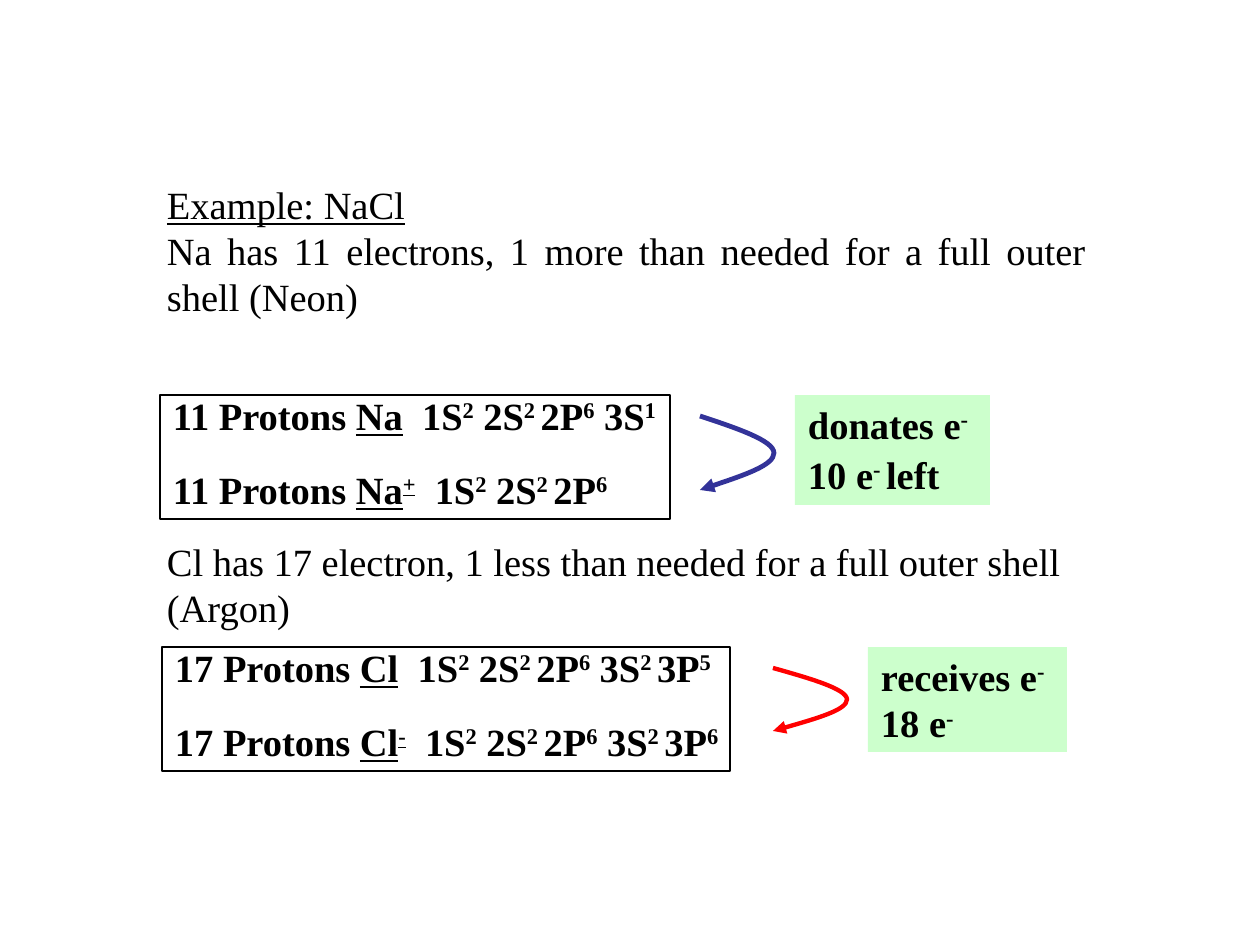
from lxml import etree
from pptx import Presentation
from pptx.dml.color import RGBColor
from pptx.enum.shapes import MSO_SHAPE
from pptx.enum.text import MSO_ANCHOR, PP_ALIGN
from pptx.oxml.ns import qn
from pptx.util import Pt

PX = 914400 / 126
RECT = MSO_SHAPE.RECTANGLE
TOP = MSO_ANCHOR.TOP
LEFT, JUSTIFY = PP_ALIGN.LEFT, PP_ALIGN.JUSTIFY
FONT, SIZE, BLACK, GREEN = "Times New Roman", 22, "000000", "CCFFCC"
INSET_X, INSET_Y = 13, 6

# Runs are parted by "|"; a leading "_" underlines, "^" raises, "_^" does both
# Plain text: box (left, top, width, height), then (text, alignment)
TEXTS = [
    ((154, 175, 945, 151), [
        ("_Example: NaCl", LEFT),
        ("Na has 11 electrons, 1 more than needed for a full outer shell (Neon)", JUSTIFY)]),
    ((154, 532, 945, 106), [
        ("Cl has 17 electron, 1 less than needed for a full outer shell (Argon)", LEFT)]),
]

# Bold boxes: box, lines, fill, outline, line spacing, gap between lines in points
BOXES = [
    ((160, 395, 510, 124),
     ["11 Protons |_Na|  1S|^2| 2S|^2 |2P|^6| 3S|^1",
      "11 Protons |_Na|_^+|  1S|^2| 2S|^2 |2P|^6"], None, BLACK, 0.8, 21),
    ((795, 395, 195, 110),
     ["donates e|^-", "10 e|^- |left"], GREEN, None, 1, 2),
    ((162, 647, 568, 124),
     ["17 Protons |_Cl|  1S|^2| 2S|^2 |2P|^6| 3S|^2 |3P|^5",
      "17 Protons |_Cl|_^-|  1S|^2| 2S|^2 |2P|^6| 3S|^2 |3P|^6"], None, BLACK, 0.8, 21),
    ((868, 647, 199, 105),
     ["receives e|^-", "18 e|^-"], GREEN, None, 1, 0),
]

# Curved arrows: box, colour, width in points
ARROWS = [
    ((700, 416, 74, 74), "333399", 2.75),
    ((773, 668, 74, 63), "FF0000", 2.5),
]


def px(n):
    return round(n * PX)


def rgb(value):
    return RGBColor.from_string(value)


def fill_paragraph(p, text, align, bold):
    for part in text.split("|"):
        r = p.add_run()
        r.text = part.lstrip("_^")
        if part.startswith("_"):
            r.font.underline = True
        if part.startswith(("^", "_^")):
            r.font._element.set("baseline", "30000")
    p.alignment = align
    p.font.name, p.font.size, p.font.bold = FONT, Pt(SIZE), bold
    p.font.color.rgb = rgb(BLACK)


def fill_frame(tf, lines, bold=False, right=INSET_X):
    tf.word_wrap = True
    tf.vertical_anchor = TOP
    tf.margin_left, tf.margin_right = px(INSET_X), px(right)
    tf.margin_top = tf.margin_bottom = px(INSET_Y)
    for i, (text, align) in enumerate(lines):
        p = tf.add_paragraph() if i else tf.paragraphs[0]
        fill_paragraph(p, text, align, bold)


def add_box(s, box, lines, fill, outline, spacing, gap):
    sp = s.shapes.add_shape(RECT, *map(px, box))
    sp.shadow.inherit = False
    if fill:
        sp.fill.solid()
        sp.fill.fore_color.rgb = rgb(fill)
    else:
        sp.fill.background()
    if outline:
        sp.line.color.rgb = rgb(outline)
        sp.line.width = Pt(0.75)
    else:
        sp.line.fill.background()
    fill_frame(sp.text_frame, [(line, LEFT) for line in lines], bold=True, right=0)
    for i, p in enumerate(sp.text_frame.paragraphs):
        p.line_spacing = spacing
        if i:
            p.space_before = Pt(gap)


def add_arrow(s, box, color, width):
    x, y, w, h = box
    # Two curves: each has two control points and an end point
    points = [(x + w * across / 2, y + h * down / 6)
              for down, across in enumerate((0, 1, 2, 2, 2, 1, 0))]
    builder = s.shapes.build_freeform(px(points[0][0]), px(points[0][1]))
    builder.add_line_segments([(px(a), px(b)) for a, b in points[1:]], close=False)
    sp = builder.convert_to_shape()
    sp.shadow.inherit = False
    sp.fill.background()
    sp.line.color.rgb = rgb(color)
    sp.line.width = Pt(width)

    # Turn the straight segments into cubic curves
    path = next(sp._element.iter(qn("a:path")))
    segments = path.findall(qn("a:lnTo"))
    for i in range(0, len(segments), 3):
        curve = etree.SubElement(path, qn("a:cubicBezTo"))
        for segment in segments[i:i + 3]:
            curve.append(segment[0])
            path.remove(segment)
    etree.SubElement(sp.line._get_or_add_ln(), qn("a:tailEnd"), type="triangle")


def main():
    prs = Presentation()
    prs.slide_width, prs.slide_height = px(1260), px(945)
    s = prs.slides.add_slide(prs.slide_layouts[6])
    for box, lines in TEXTS:
        fill_frame(s.shapes.add_textbox(*map(px, box)).text_frame, lines)
    for row in BOXES:
        add_box(s, *row)
    for row in ARROWS:
        add_arrow(s, *row)
    prs.save("out.pptx")


if __name__ == "__main__":
    main()
